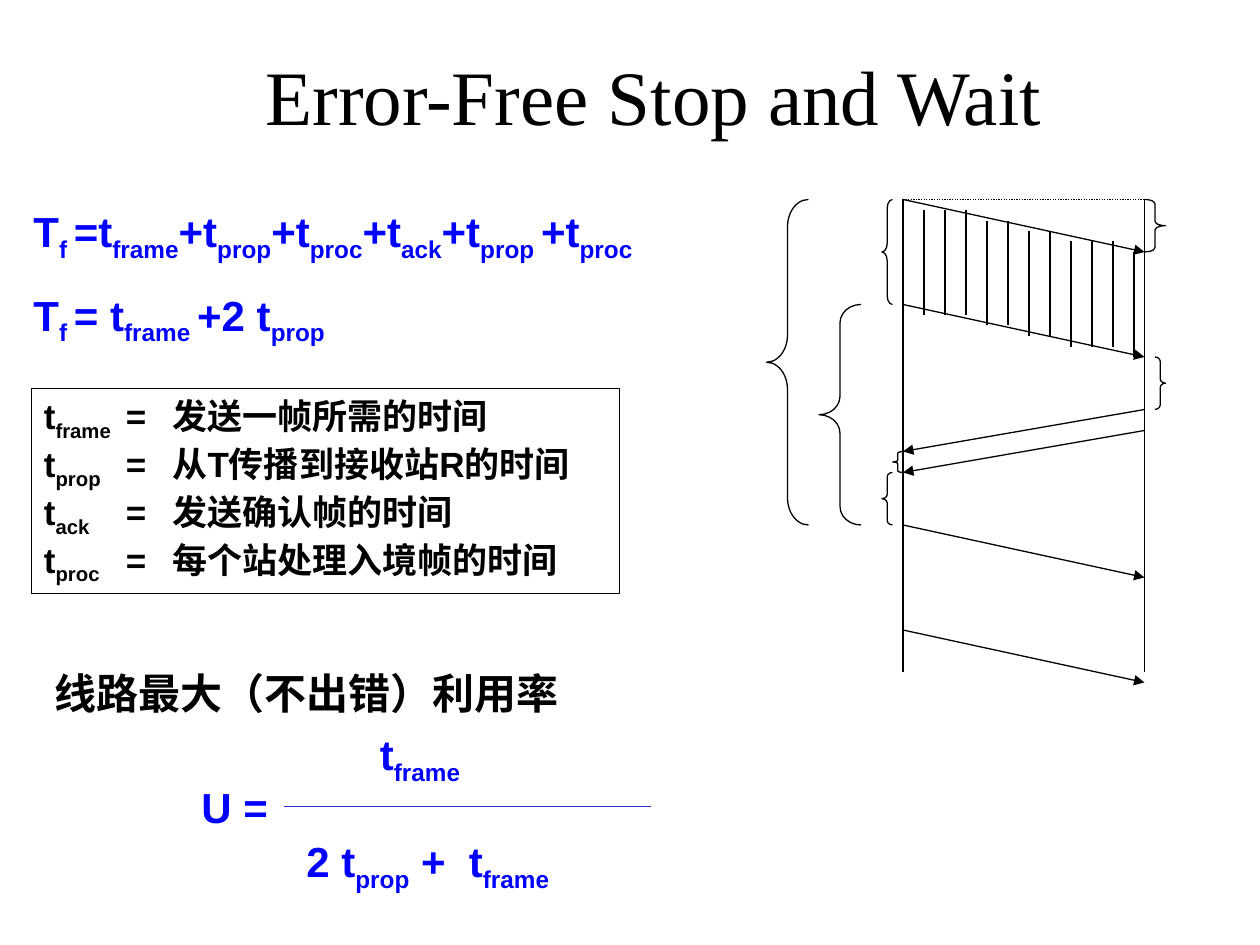
"""Build the Error-Free Stop and Wait slide on a grid of 120 columns by 90 rows."""
from dataclasses import dataclass

from lxml import etree
from pptx import Presentation
from pptx.dml.color import RGBColor
from pptx.enum.dml import MSO_LINE
from pptx.enum.shapes import MSO_CONNECTOR, MSO_SHAPE
from pptx.enum.text import MSO_ANCHOR, MSO_AUTO_SIZE, PP_ALIGN
from pptx.oxml.ns import qn
from pptx.util import Inches, Pt

STRAIGHT = MSO_CONNECTOR.STRAIGHT
RECTANGLE = MSO_SHAPE.RECTANGLE
LEFT_BRACE = MSO_SHAPE.LEFT_BRACE
RIGHT_BRACE = MSO_SHAPE.RIGHT_BRACE
DOTTED = MSO_LINE.ROUND_DOT
FIT_TEXT = MSO_AUTO_SIZE.SHAPE_TO_FIT_TEXT
TOP, MIDDLE = MSO_ANCHOR.TOP, MSO_ANCHOR.MIDDLE
CENTER, JUSTIFY, LEFT = PP_ALIGN.CENTER, PP_ALIGN.JUSTIFY, PP_ALIGN.LEFT

CELL = Inches(1) / 12
SENDER, RECEIVER = 86, 109
TIMELINE_TOP, TIMELINE_BOTTOM = 19, 64

DEFINITIONS = [
    "t|frame|\t=\t发送一帧所需的时间",
    "t|prop|\t=\t从T传播到接收站R的时间",
    "t|ack|\t=\t发送确认帧的时间",
    "t|proc|\t=\t每个站处理入境帧的时间",
]
FORMULAS = [
    "T|f |=t|frame|+t|prop|+t|proc|+t|ack|+t|prop |+t|proc",
    "T|f |= t|frame |+2 t|prop",
]
FORWARD_ROWS = [19, 29, 50, 60]
ACKNOWLEDGEMENT_ROWS = [39, 41]
HATCH_ROWS = [20, 20, 20, 21, 21, 22, 22, 23, 23, 23, 24]
BRACES = [
    (LEFT_BRACE, 84, 19, 1, 10),
    (RIGHT_BRACE, 109, 19, 2, 5),
    (RIGHT_BRACE, 110, 34, 1, 5),
    (LEFT_BRACE, 85, 43, 1, 2),
    (LEFT_BRACE, 84, 45, 1, 5),
    (LEFT_BRACE, 78, 29, 4, 21),
    (LEFT_BRACE, 73, 19, 4, 31),
]


@dataclass(frozen=True)
class Theme:
    """Colours, fonts and sizes of the slide."""
    ink: RGBColor = RGBColor(0, 0, 0)
    formula: RGBColor = RGBColor(0, 0, 255)
    fraction: RGBColor = RGBColor(0x33, 0x33, 0xCC)
    title_font: str = "Times New Roman"
    text_font: str = "Arial"
    title_size: int = 44
    formula_size: int = 24
    definition_size: int = 20
    line_width: float = 0.75


THEME = Theme()


def grid(*cells):
    """Convert grid cells to lengths."""
    return [round(cell * CELL) for cell in cells]


def style_font(font, name, size, color, bold):
    """Set the face, size, colour and weight of a font."""
    font.name, font.size, font.bold = name, Pt(size), bold
    font.color.rgb = color


def add_tabs(paragraph, stops):
    """Add left tab stops, given in inches, to a paragraph."""
    tab_list = etree.SubElement(paragraph._p.get_or_add_pPr(), qn("a:tabLst"))
    for stop in stops:
        etree.SubElement(tab_list, qn("a:tab"), pos=str(Inches(stop)), algn="l")


def fill_text(shape, lines, color, size, space=0, tabs=(), align=LEFT):
    """Write lines whose every second part between bars is a subscript."""
    frame = shape.text_frame
    frame.word_wrap, frame.auto_size = True, FIT_TEXT
    frame.vertical_anchor = TOP
    for index, line in enumerate(lines):
        paragraph = frame.add_paragraph() if index else frame.paragraphs[0]
        paragraph.alignment = align
        if index and space:
            paragraph.space_before = Pt(space)
        if tabs:
            add_tabs(paragraph, tabs)
        style_font(paragraph.font, THEME.text_font, size, color, True)
        for position, part in enumerate(line.split("|")):
            run = paragraph.add_run()
            run.text = part
            if position % 2:
                run._r.get_or_add_rPr().set("baseline", "-25000")


def add_text(slide, cells, lines, color, **options):
    """Add a text box in formula size."""
    box = slide.shapes.add_textbox(*grid(*cells))
    fill_text(box, lines, color, THEME.formula_size, **options)


def add_outline(slide, preset, cells):
    """Add an unfilled preset shape with a thin line."""
    shape = slide.shapes.add_shape(preset, *grid(*cells))
    shape.shadow.inherit = False
    shape.fill.background()
    shape.line.color.rgb = THEME.ink
    shape.line.width = Pt(THEME.line_width)
    return shape


def add_brace(slide, preset, left, top, width, height):
    """Add a brace whose curls each take a twelfth of its height."""
    brace = add_outline(slide, preset, (left, top, width, height))
    brace.adjustments[0] = height / 12 / min(width, height)


def add_line(slide, start, end, color=THEME.ink, arrow=False):
    """Add a thin straight line between two grid points."""
    connector = slide.shapes.add_connector(STRAIGHT, *grid(*start, *end))
    connector.line.color.rgb = color
    connector.line.width = Pt(THEME.line_width)
    properties = connector._element.spPr
    if arrow:
        etree.SubElement(properties.find(qn("a:ln")), qn("a:tailEnd"), type="triangle")
    etree.SubElement(properties, qn("a:effectLst"))
    return connector


def add_title(slide, text):
    """Place and format the title."""
    title = slide.shapes.title
    title.left, title.top, title.width, title.height = grid(13.5, 0, 97.5, 18)
    title.text_frame.text = text
    title.text_frame.vertical_anchor = MIDDLE
    paragraph = title.text_frame.paragraphs[0]
    paragraph.alignment = CENTER
    style_font(paragraph.font, THEME.title_font, THEME.title_size, THEME.ink, False)


def add_utilization(slide):
    """Add the heading and fraction for the maximum line utilization."""
    add_text(slide, (4, 63, 51, 6), ["线路最大（不出错）利用率"], THEME.ink)
    add_text(slide, (18, 73.8, 10, 6), ["U ="], THEME.formula)
    add_text(slide, (35, 68.8, 16, 6.7), ["t|frame"], THEME.formula)
    add_text(slide, (28, 79, 35, 6.7), ["2 t|prop| +\tt|frame"], THEME.formula, tabs=[1.29])
    add_line(slide, (27, 76.8), (62, 76.8), THEME.fraction)


def add_timing_diagram(slide):
    """Draw the frames and acknowledgements between both stations."""
    for station in (SENDER, RECEIVER):
        add_line(slide, (station, TIMELINE_TOP), (station, TIMELINE_BOTTOM))
    top_line = add_line(slide, (SENDER, TIMELINE_TOP), (RECEIVER, TIMELINE_TOP))
    top_line.line.dash_style = DOTTED
    for row in FORWARD_ROWS:
        add_line(slide, (SENDER, row), (RECEIVER, row + 5), arrow=True)
    for row in ACKNOWLEDGEMENT_ROWS:
        add_line(slide, (RECEIVER, row), (SENDER, row + 4), arrow=True)
    for index, row in enumerate(HATCH_ROWS, start=1):
        column = SENDER + 2 * index
        add_line(slide, (column, row), (column, row + 10))
    for brace in BRACES:
        add_brace(slide, *brace)


def main():
    """Build and save the slide."""
    presentation = Presentation()
    presentation.slide_width, presentation.slide_height = grid(120, 90)
    slide = presentation.slides.add_slide(presentation.slide_layouts.get_by_name("Title Only"))
    add_title(slide, "Error-Free Stop and Wait")
    definitions = add_outline(slide, RECTANGLE, (3, 37, 56, 19.5))
    fill_text(definitions, DEFINITIONS, THEME.ink, THEME.definition_size,
              tabs=[0.65, 1.02], align=JUSTIFY)
    add_text(slide, (2, 19, 69, 22.5), FORMULAS, THEME.formula, space=15)
    add_utilization(slide)
    add_timing_diagram(slide)
    presentation.save("out.pptx")


if __name__ == "__main__":
    main()
